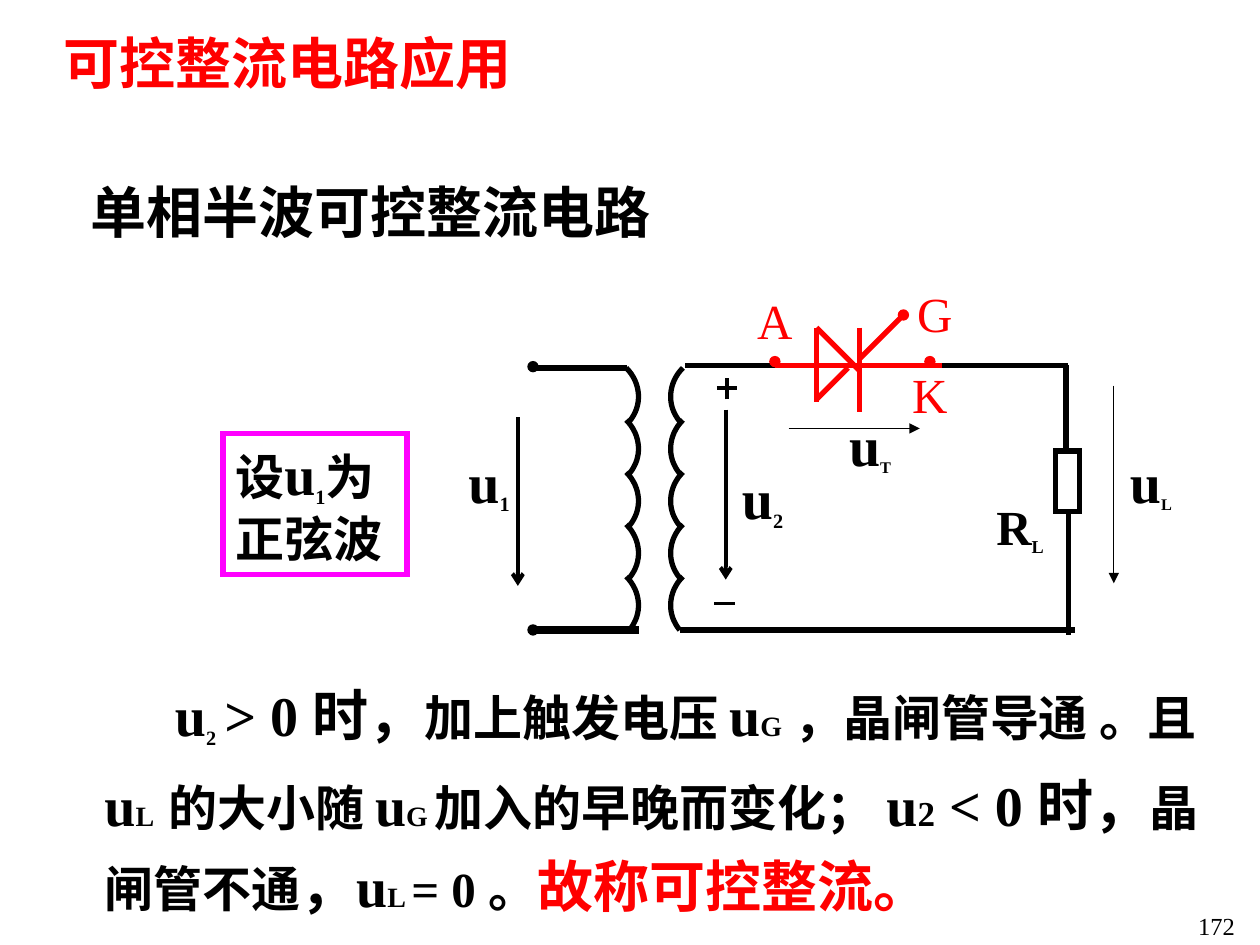
from lxml import etree
from pptx import Presentation
from pptx.dml.color import RGBColor
from pptx.enum.shapes import MSO_CONNECTOR, MSO_SHAPE
from pptx.enum.text import MSO_ANCHOR, MSO_AUTO_SIZE, PP_ALIGN
from pptx.oxml.ns import qn
from pptx.util import Inches, Pt

BLACK = RGBColor(0, 0, 0)
RED = RGBColor(255, 0, 0)
PINK = RGBColor(255, 0, 255)
RECT, DOT = MSO_SHAPE.RECTANGLE, MSO_SHAPE.OVAL
LINE = MSO_CONNECTOR.STRAIGHT
TOP, MIDDLE = MSO_ANCHOR.TOP, MSO_ANCHOR.MIDDLE
LEFT, CENTER = PP_ALIGN.LEFT, PP_ALIGN.CENTER
GROW = MSO_AUTO_SIZE.SHAPE_TO_FIT_TEXT
TITLE_ONLY = 5
FONT = "Times New Roman"


def cell(n):
    """Turn a count of grid columns or rows, 100 by 75, into a length."""
    return Inches(n / 10)


class Sheet:
    """Holds the style and the current slide, and draws each kind of element."""

    def __init__(self, deck):
        """Add a title-only slide."""
        self.slide = deck.slides.add_slide(deck.slide_layouts[TITLE_ONLY])
        self.shapes = self.slide.shapes

    def fill_text(self, shape, paras, color=BLACK, bold=True, wrap=False,
                  align=LEFT, anchor=TOP, space=None, indent=0):
        """Write paragraphs of (text, size, subscript, colour) runs."""
        frame = shape.text_frame
        frame.auto_size = GROW
        frame.word_wrap = wrap
        frame.vertical_anchor = anchor
        if not wrap:
            frame.margin_right = 0
        for i, runs in enumerate(paras):
            para = frame.add_paragraph() if i else frame.paragraphs[0]
            para.alignment = align
            if space:
                para.line_spacing = space
            if indent:
                para._p.get_or_add_pPr().set("indent", str(cell(indent)))
            font = para.font
            font.name, font.bold, font.color.rgb = FONT, bold, color
            font.size = Pt(runs[0][1])
            for text, size, *more in runs:
                run = para.add_run()
                run.text = text
                if size != runs[0][1]:
                    run.font.size = Pt(size)
                if more and more[0]:
                    run._r.get_or_add_rPr().set("baseline", "-25000")
                if len(more) > 1:
                    run.font.color.rgb = more[1]

    def title(self, box, text, size, color):
        """Place and format the title."""
        shape = self.shapes.title
        shape.left, shape.top, shape.width, shape.height = map(cell, box)
        self.fill_text(shape, [[(text, size)]], color)

    def text(self, box, paras, **style):
        """Add a text box."""
        self.fill_text(self.shapes.add_textbox(*map(cell, box)), paras, **style)

    def shape(self, kind, box, color, width, solid=False):
        """Add a preset shape, filled or hollow, with sharp corners."""
        shape = self.shapes.add_shape(kind, *map(cell, box))
        self.style(shape, color, width, solid)
        miter = etree.SubElement(shape.line._get_or_add_ln(), qn("a:miter"))
        miter.set("lim", "800000")
        return shape

    def style(self, shape, color, width, solid=False):
        """Set line, fill and shadow."""
        shape.shadow.inherit = False
        shape.line.color.rgb = color
        shape.line.width = Pt(width)
        if solid:
            shape.fill.solid()
            shape.fill.fore_color.rgb = color
        else:
            shape.fill.background()

    def wire(self, ends, color=BLACK, width=3, head=None):
        """Add a line, with an arrowhead at its end if one is named."""
        wire = self.shapes.add_connector(LINE, *map(cell, ends))
        wire.line.color.rgb = color
        wire.line.width = Pt(width)
        if head:
            tail = etree.SubElement(wire.line._get_or_add_ln(), qn("a:tailEnd"))
            tail.set("type", head)
        etree.SubElement(wire._element.spPr, qn("a:effectLst"))

    def dot(self, x, y, color):
        """Add a terminal, centred on a point."""
        self.shape(DOT, (x - 0.4, y - 0.4, 0.8, 0.8), color, 0.75, True)

    def turn(self, x, y, side):
        """Add one turn of a coil that bulges to the given side."""
        knots = ((0, 0), (1.2, 1.2), (1.3, 3), (0.25, 4.25))
        points = []
        for step in range(17):
            t = step / 16
            parts = ((1 - t) ** 3, 3 * t * (1 - t) ** 2,
                     3 * t ** 2 * (1 - t), t ** 3)
            dx, dy = (sum(p * k[axis] for p, k in zip(parts, knots))
                      for axis in (0, 1))
            points.append((cell(x + side * dx), cell(y + dy)))
        path = self.shapes.build_freeform(*points[0])
        path.add_line_segments(points[1:], close=False)
        self.style(path.convert_to_shape(), BLACK, 3)


def draw_coils(sheet):
    """Draw both windings of the transformer."""
    for x, side in ((49.7, 1), (54.2, -1)):
        for row in range(5):
            sheet.turn(x, 29.2 + 4.14 * row, side)


def draw_wires(sheet):
    """Draw the wires, the thyristor, the load and the arrows."""
    for ends in ((42.3, 29.2, 49.8, 29.2), (54, 50, 85.3, 50),
                 (61.5, 29, 54.4, 29), (74.2, 29, 84.8, 29),
                 (84.6, 29, 84.6, 36), (84.8, 40.6, 84.8, 50.4)):
        sheet.wire(ends)
    sheet.wire((42.3, 50, 50.7, 50), width=4.5)
    for ends in ((64.8, 26, 64.8, 31.9), (64.8, 26, 68.2, 29.4),
                 (68.2, 26, 68.2, 32.7), (68.2, 28.5, 71.5, 25.2),
                 (61.5, 29, 74.8, 29), (64.8, 31.7, 67.3, 29.2)):
        sheet.wire(ends, RED)
    sheet.shape(RECT, (83.8, 35.8, 1.9, 4.8), BLACK, 3)
    for ends, width, head in (((41.1, 33.1, 41.1, 46.5), 2.25, "arrow"),
                              ((57.6, 32.5, 57.6, 46), 2.25, "arrow"),
                              ((62.6, 34, 73, 34), 0.75, "triangle"),
                              ((88.4, 30.6, 88.4, 46.3), 0.75, "triangle"),
                              ((56.9, 30.8, 58.5, 30.8), 2.25, None),
                              ((57.7, 31.7, 57.7, 30), 2.25, None),
                              ((56.7, 47.9, 58.3, 47.9), 2.25, None)):
        sheet.wire(ends, width=width, head=head)
    for x, y, color in ((42.3, 50, BLACK), (42.3, 29.1, BLACK),
                        (73.8, 28.7, RED), (61.5, 28.7, RED),
                        (71.7, 25, RED)):
        sheet.dot(x, y, color)


def draw_labels(sheet):
    """Name the voltages, the load and the thyristor's terminals."""
    for x, y, name, size, sub, small in ((36.2, 35, "u", 32, "1", 20),
                                         (57.9, 36.3, "u", 32, "2", 20),
                                         (66.4, 32.1, "u", 32, "T", 16),
                                         (88.7, 35, "u", 32, "L", 16),
                                         (78.1, 38.9, "R", 28, "L", 18)):
        wide, high = (5.3, 6.4) if size == 32 else (5.7, 5.8)
        sheet.text((x, y, wide, high), [[(name, size), (sub, small, True)]])
    for x, y, name in ((59.1, 22.6, "A"), (71.8, 22, "G"), (71.4, 28.4, "K")):
        sheet.text((x, y, 4.8, 5.7), [[(name, 28)]], color=RED, bold=False)


def main():
    """Build the slide and save it."""
    deck = Presentation()
    deck.slide_width, deck.slide_height = cell(100), cell(75)
    sheet = Sheet(deck)
    sheet.title((4, 1.8, 37.6, 6.4), "可控整流电路应用", 32, RED)
    sheet.text((6.2, 13.6, 46.5, 6.4), [[("单相半波可控整流电路", 32)]])
    note = sheet.shape(RECT, (17.7, 34.4, 14.6, 11.2), PINK, 3)
    sheet.fill_text(note, [[("设", 28), ("u", 32), ("1", 20, True), ("为", 28)],
                           [("正弦波", 28)]])
    sheet.text((7.3, 52.3, 89, 21.1), [[
        ("u", 32), ("2", 20, True), (" ", 32, True), ("> 0 时，", 32),
        ("加上触发电压 ", 28), ("u", 32), ("G", 16),
        (" ，晶闸管导通 。且 ", 28), ("u", 32), ("L", 16), (" ", 32),
        ("的大小随 ", 28), ("u", 32), ("G ", 16), ("加入的早晚而变化； ", 28),
        ("u", 32), ("2", 20), (" < 0 时，", 32), ("晶闸管不通", 28),
        ("，u", 32), ("L ", 16), ("= 0 。", 28),
        ("故称可控整流。", 32, False, RED)]], wrap=True, space=1.2, indent=5.6)
    draw_coils(sheet)
    draw_wires(sheet)
    draw_labels(sheet)
    sheet.text((93.1, 71.8, 6.9, 3.3), [[("172", 14)]], bold=False, wrap=True,
               align=CENTER, anchor=MIDDLE)
    deck.save("out.pptx")


if __name__ == "__main__":
    main()
